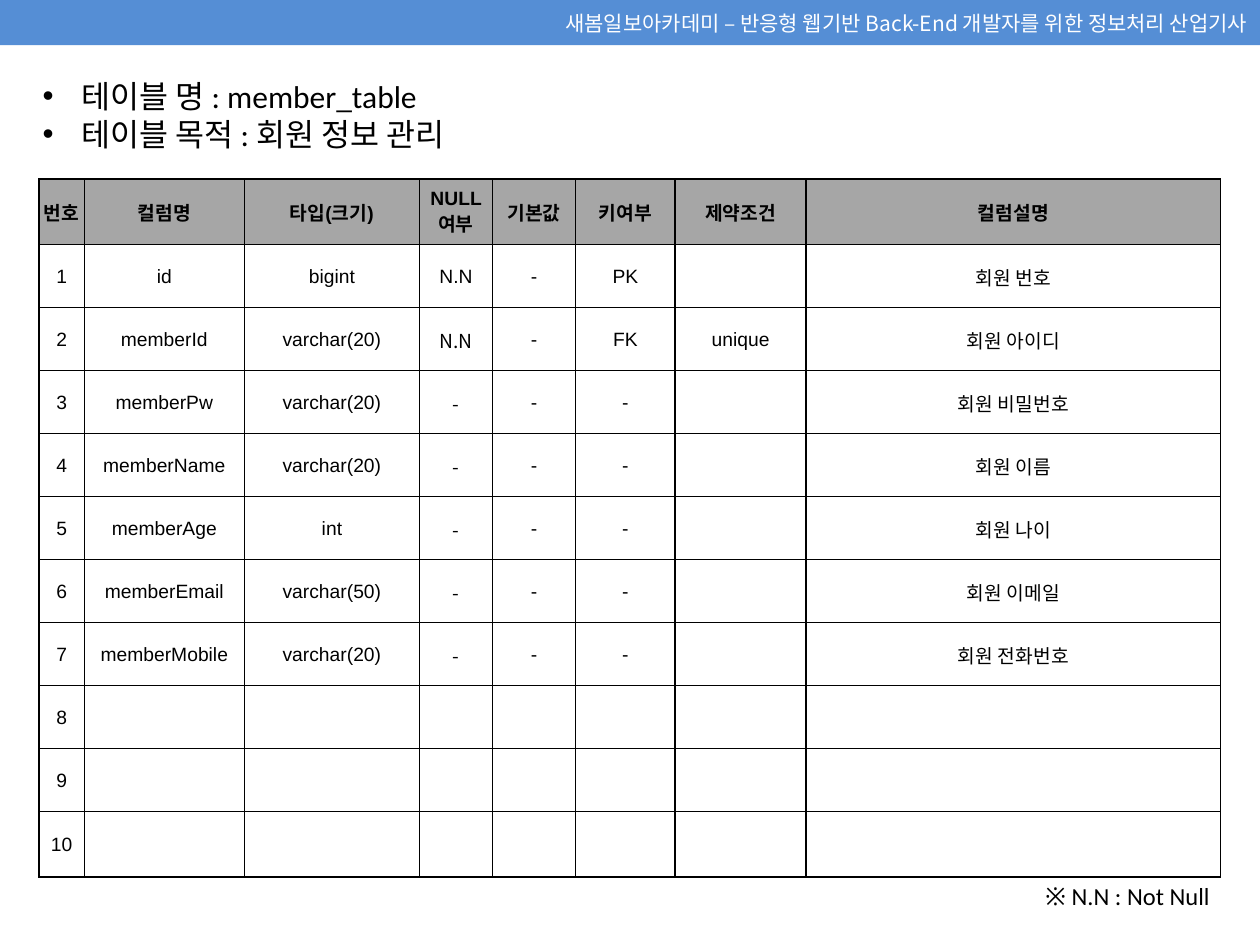
from dataclasses import dataclass

from lxml import etree
from pptx import Presentation
from pptx import util as u
from pptx.dml.color import RGBColor
from pptx.enum import shapes, text
from pptx.oxml.ns import qn


@dataclass(frozen=True)
class Theme:
    banner: str = "558ED5"
    header: str = "A6A6A6"
    ink: str = "000000"
    light: str = "FFFFFF"
    latin: str = "Calibri"
    table: str = "Arial"
    korean: str = "Noto Sans CJK KR"
    heading_size: int = 18
    note_size: int = 14
    banner_size: int = 12
    table_size: int = 11
    border_width: int = 1


THEME = Theme()
WIDTH, HEIGHT = 10, 7.5
TABLE_LEFT, TABLE_TOP = 0.31, 1.42
COLUMN_WIDTHS = [0.36, 1.27, 1.39, 0.58, 0.66, 0.79, 1.04, 3.29]
EDGE_ROW, INNER_ROW = 0.52, 0.5
ROW_COUNT = 10
NULL_COLUMN = 3

HEADERS = ["번호", "컬럼명", "타입(크기)", "NULL 여부", "기본값", "키여부", "제약조건", "컬럼설명"]
FIELDS = [
    ("id", "bigint", "N.N", "-", "PK", "", "회원 번호"),
    ("memberId", "varchar(20)", "N.N", "-", "FK", "unique", "회원 아이디"),
    ("memberPw", "varchar(20)", "-", "-", "-", "", "회원 비밀번호"),
    ("memberName", "varchar(20)", "-", "-", "-", "", "회원 이름"),
    ("memberAge", "int", "-", "-", "-", "", "회원 나이"),
    ("memberEmail", "varchar(50)", "-", "-", "-", "", "회원 이메일"),
    ("memberMobile", "varchar(20)", "-", "-", "-", "", "회원 전화번호"),
]


def format_paragraph(paragraph, size, font, color=THEME.ink, bold=False, align=text.PP_ALIGN.LEFT):
    paragraph.alignment = align
    for run in paragraph.runs:
        run.font.size = u.Pt(size)
        run.font.name = font
        run.font.bold = bold
        run.font.color.rgb = RGBColor.from_string(color)
        east_asian = etree.Element(qn("a:ea"), typeface=THEME.korean)
        run.font._element.find(qn("a:latin")).addnext(east_asian)


def add_bullet(paragraph, indent):
    properties = paragraph._p.get_or_add_pPr()
    properties.set("marL", str(u.Inches(indent)))
    properties.set("indent", str(-u.Inches(indent)))
    etree.SubElement(properties, qn("a:buFont"), typeface="Arial")
    etree.SubElement(properties, qn("a:buChar"), char="•")


def add_banner(slide, words):
    banner = slide.shapes.add_shape(
        shapes.MSO_SHAPE.RECTANGLE, 0, 0, u.Inches(WIDTH), u.Inches(0.36))
    banner.shadow.inherit = False
    banner.fill.solid()
    banner.fill.fore_color.rgb = RGBColor.from_string(THEME.banner)
    banner.line.fill.background()
    frame = banner.text_frame
    frame.text = words
    frame.vertical_anchor = text.MSO_ANCHOR.MIDDLE
    format_paragraph(frame.paragraphs[0], THEME.banner_size, THEME.korean,
                     THEME.light, align=text.PP_ALIGN.RIGHT)


def add_text(slide, box, words, size, align=text.PP_ALIGN.LEFT, bullet_indent=None):
    frame = slide.shapes.add_textbox(*map(u.Inches, box)).text_frame
    frame.word_wrap = True
    frame.text = words
    for paragraph in frame.paragraphs:
        format_paragraph(paragraph, size, THEME.latin, align=align)
        if bullet_indent:
            add_bullet(paragraph, bullet_indent)


def add_borders(cell):
    """Put the four border lines ahead of the cell's fill, as the schema asks."""
    properties = cell._tc.get_or_add_tcPr()
    for position, side in enumerate(("lnL", "lnR", "lnT", "lnB")):
        line = etree.Element(qn(f"a:{side}"), w=str(u.Pt(THEME.border_width)))
        fill = etree.SubElement(line, qn("a:solidFill"))
        etree.SubElement(fill, qn("a:srgbClr"), val=THEME.ink)
        properties.insert(position, line)


def fill_cell(cell, words, font, is_header):
    if is_header:
        cell.fill.solid()
        cell.fill.fore_color.rgb = RGBColor.from_string(THEME.header)
    else:
        cell.fill.background()
    add_borders(cell)
    if not words:
        return
    cell.text = words
    cell.vertical_anchor = text.MSO_ANCHOR.MIDDLE
    cell.margin_left = cell.margin_right = cell.margin_top = u.Inches(0.01)
    cell.margin_bottom = 0
    format_paragraph(cell.text_frame.paragraphs[0], THEME.table_size, font,
                     bold=is_header, align=text.PP_ALIGN.CENTER)


def add_field_table(slide):
    blank = ("",) * (len(HEADERS) - 1)
    fields = FIELDS + [blank] * (ROW_COUNT - len(FIELDS))
    rows = [HEADERS] + [(str(number), *field) for number, field in enumerate(fields, 1)]
    heights = [EDGE_ROW] + [INNER_ROW] * (ROW_COUNT - 1) + [EDGE_ROW]
    box = TABLE_LEFT, TABLE_TOP, sum(COLUMN_WIDTHS), sum(heights)
    table = slide.shapes.add_table(len(rows), len(HEADERS), *map(u.Inches, box)).table
    table.first_row = table.horz_banding = False
    for column, width in zip(table.columns, COLUMN_WIDTHS):
        column.width = u.Inches(width)
    for row, height in zip(table.rows, heights):
        row.height = u.Inches(height)
    for row_index, row in enumerate(rows):
        for column_index, words in enumerate(row):
            plain_null = column_index == NULL_COLUMN and row_index > 1
            font = THEME.korean if plain_null else THEME.table
            fill_cell(table.cell(row_index, column_index), words, font, row_index == 0)


def main():
    presentation = Presentation()
    presentation.slide_width = u.Inches(WIDTH)
    presentation.slide_height = u.Inches(HEIGHT)
    slide = presentation.slides.add_slide(presentation.slide_layouts[6])
    add_banner(slide, "새봄일보아카데미 – 반응형 웹기반 Back-End 개발자를 위한 정보처리 산업기사")
    add_text(slide, (0.24, 0.56, 9.49, 0.69),
             "테이블 명 : member_table\n테이블 목적 : 회원 정보 관리",
             THEME.heading_size, bullet_indent=0.31)
    add_field_table(slide)
    add_text(slide, (8.15, 6.94, 1.55, 0.34), "※ N.N : Not Null",
             THEME.note_size, text.PP_ALIGN.RIGHT)
    presentation.save("out.pptx")


if __name__ == "__main__":
    main()
